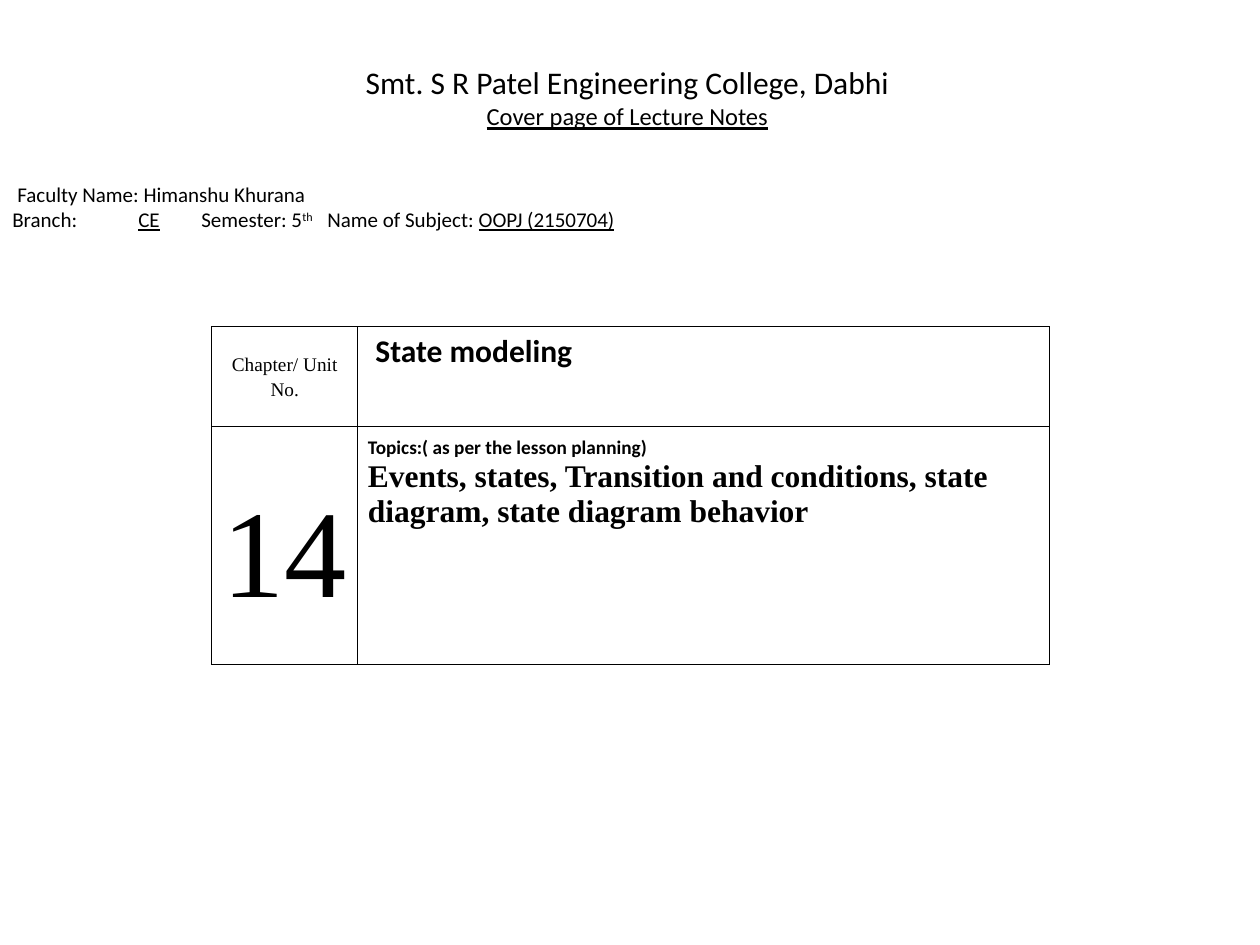
"""Build the cover page of the lecture notes on state modeling."""
from dataclasses import dataclass

import pptx
import pptx.dml.color
import pptx.enum.text
import pptx.oxml
import pptx.oxml.ns
import pptx.util

Inches, Pt = pptx.util.Inches, pptx.util.Pt
Align = pptx.enum.text.PP_ALIGN
Anchor = pptx.enum.text.MSO_ANCHOR


@dataclass
class Theme:
    ink: str = "000000"
    sans: str = "Calibri"
    serif: str = "Times New Roman"
    huge: int = 71
    head: int = 18
    sub: int = 14
    body: int = 12
    small: int = 11
    border: float = 0.45


class Page:
    def __init__(self, deck, theme):
        self.theme = theme
        self.unit = deck.slide_width / 100
        self.slide = deck.slides.add_slide(deck.slide_layouts[6])

    def span(self, count):
        return int(count * self.unit)

    def attach(self, parent, xml):
        space = pptx.oxml.ns.nsdecls("a")
        tag, rest = xml.split(" ", 1)
        parent.append(pptx.oxml.parse_xml(f"<a:{tag} {space} {rest}"))

    def style(self, para, parts, size, face=None, bold=False, align=Align.LEFT,
              line=1.0, before=0, indent=0, tabs=()):
        para.alignment, para.line_spacing = align, line
        if before:
            para.space_before = Pt(before)
        props = para._p.get_or_add_pPr()
        props.set("marL", str(self.span(indent)))
        props.set("indent", "0")
        if tabs:
            stops = "".join(f'<a:tab pos="{self.span(t)}" algn="l"/>' for t in tabs)
            self.attach(props, f"tabLst >{stops}</a:tabLst>")
        for text, mark in parts:
            run = para.add_run()
            run.text = text
            font = run.font
            font.name, font.size, font.bold = face or self.theme.sans, Pt(size), bold
            font.color.rgb = pptx.dml.color.RGBColor.from_string(self.theme.ink)
            font.underline = mark == "under"
            if mark == "super":
                run._r.get_or_add_rPr().set("baseline", "30000")

    def fill(self, frame, paras):
        frame.word_wrap = True
        for i, (parts, style) in enumerate(paras):
            para = frame.add_paragraph() if i else frame.paragraphs[0]
            self.style(para, parts, **style)

    def text(self, col, row, wide, high, paras, anchor=Anchor.TOP):
        box = self.slide.shapes.add_textbox(*map(self.span, (col, row, wide, high)))
        box.text_frame.vertical_anchor = anchor
        self.fill(box.text_frame, paras)

    def edge(self, cell):
        props = cell._tc.get_or_add_tcPr()
        for side in ("lnL", "lnR", "lnT", "lnB"):
            self.attach(props, f'{side} w="{int(Pt(self.theme.border))}"><a:solidFill>'
                        f'<a:srgbClr val="{self.theme.ink}"/></a:solidFill></a:{side}>')

    def table(self, col, row, wides, highs, cells):
        area = map(self.span, (col, row, sum(wides), sum(highs)))
        grid = self.slide.shapes.add_table(len(highs), len(wides), *area).table
        grid.first_row = grid.horz_banding = False
        for column, wide in zip(grid.columns, wides):
            column.width = self.span(wide)
        for line, high in zip(grid.rows, highs):
            line.height = self.span(high)
        for cell, (anchor, paras) in zip(grid.iter_cells(), cells):
            self.edge(cell)
            cell.fill.background()
            cell.vertical_anchor = anchor
            cell.margin_left = cell.margin_right = Inches(0.08)
            cell.margin_top = cell.margin_bottom = Inches(0.05)
            self.fill(cell.text_frame, paras)


def main():
    deck = pptx.Presentation()
    deck.slide_width, deck.slide_height = Inches(10), Inches(7.5)
    look = Theme()
    page = Page(deck, look)

    page.text(4.8, 2.7, 90, 10, [
        ([("Smt. S R Patel Engineering College, Dabhi", "")],
         dict(size=look.head, align=Align.CENTER)),
        ([("Cover page of Lecture Notes", "under")],
         dict(size=look.sub, align=Align.CENTER)),
    ], Anchor.MIDDLE)

    page.text(0, 14.3, 100, 5.5, [
        ([("Faculty Name: Himanshu Khurana", "")],
         dict(size=look.body, line=0.8, indent=0.4)),
        ([("Branch:\t", ""), ("CE", "under"), ("\tSemester: 5", ""), ("th", "super"),
          ("\tName of Subject: ", ""), ("OOPJ (2150704)", "under")],
         dict(size=look.body, line=0.8, before=3, tabs=(5.9, 33.1, 58.8))),
    ])

    page.table(16.8, 25.9, (11.6, 54.9), (7.9, 18.9), [
        (Anchor.MIDDLE, [([("Chapter/ Unit No.", "")], dict(
            size=look.small, face=look.serif, align=Align.CENTER, line=1.15))]),
        (Anchor.TOP, [([("State modeling", "")], dict(
            size=look.head, bold=True, indent=0.6))]),
        (Anchor.MIDDLE, [([("14", "")], dict(
            size=look.huge, face=look.serif, align=Align.CENTER, line=1.15))]),
        (Anchor.TOP, [
            ([("Topics:( as per the lesson planning)", "")],
             dict(size=look.small, bold=True, line=1.15)),
            ([("Events, states, Transition and conditions, state diagram, "
               "state diagram behavior", "")],
             dict(size=look.head, face=look.serif, bold=True)),
        ]),
    ])
    deck.save("out.pptx")


if __name__ == "__main__":
    main()
